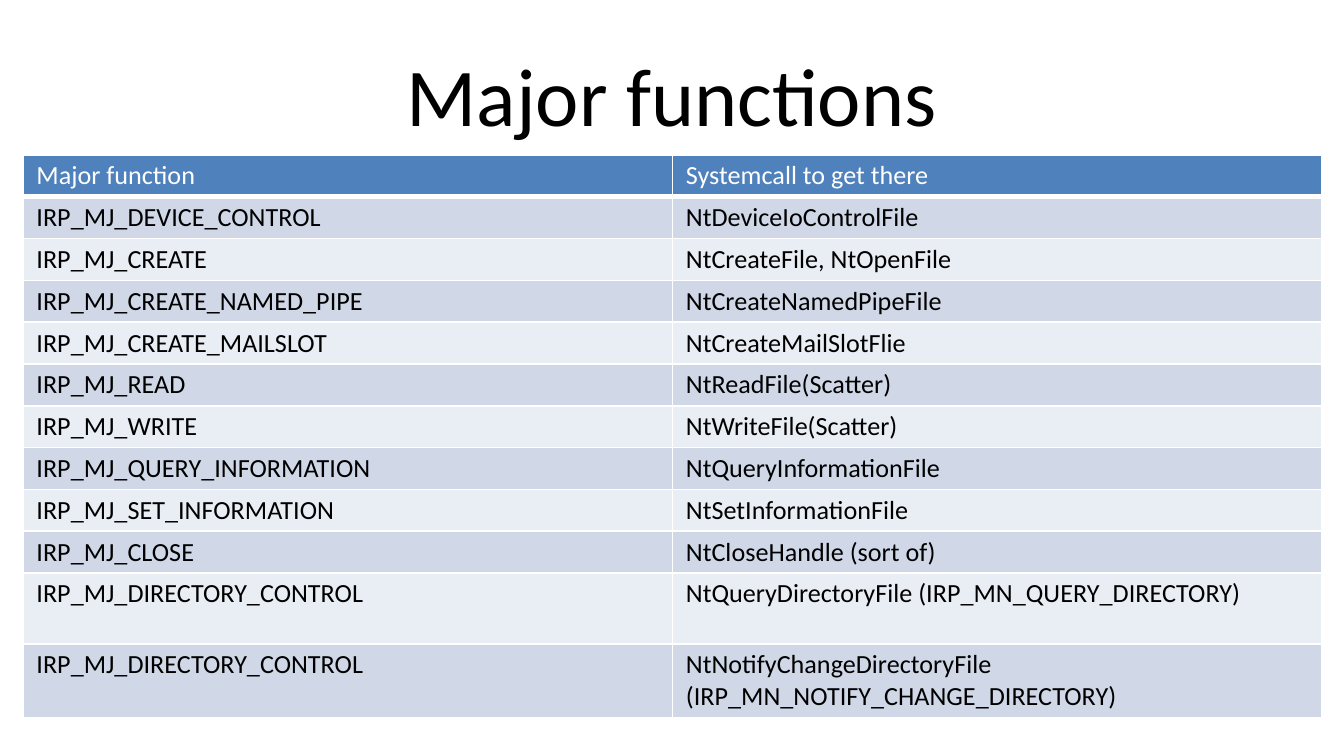
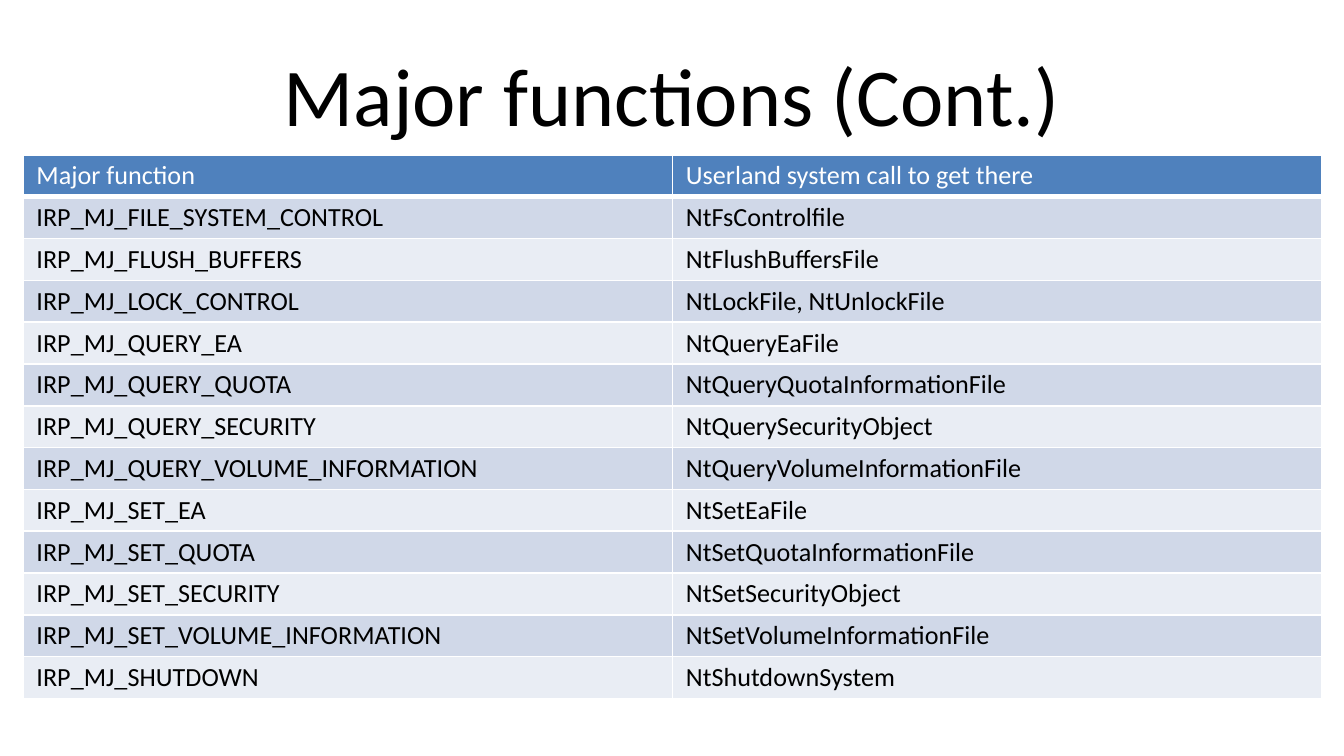
from lxml import etree
from pptx import Presentation
from pptx import util as u
from pptx.dml.color import RGBColor
from pptx.enum import text
from pptx.oxml import ns

# Shared look
FONT = "Calibri"
WHITE, BLACK, HEADER = "FFFFFF", "000000", "4F81BD"
BANDS = ("D0D8E8", "E9EDF4")
PX_PER_INCH = 134.4
SLIDE = (1344, 756)
TITLE_BOX = (67, 31, 1210, 126)
TABLE_BOX = (23, 155, 1299)
ROW, TALL_ROW, CELL_PAD = 41, 71, 5

MAJOR = [
    ("Major function", "Systemcall to get there"),
    ("IRP_MJ_DEVICE_CONTROL", "NtDeviceIoControlFile"),
    ("IRP_MJ_CREATE", "NtCreateFile, NtOpenFile"),
    ("IRP_MJ_CREATE_NAMED_PIPE", "NtCreateNamedPipeFile"),
    ("IRP_MJ_CREATE_MAILSLOT", "NtCreateMailSlotFlie"),
    ("IRP_MJ_READ", "NtReadFile(Scatter)"),
    ("IRP_MJ_WRITE", "NtWriteFile(Scatter)"),
    ("IRP_MJ_QUERY_INFORMATION", "NtQueryInformationFile"),
    ("IRP_MJ_SET_INFORMATION", "NtSetInformationFile"),
    ("IRP_MJ_CLOSE", "NtCloseHandle (sort of)"),
    ("IRP_MJ_DIRECTORY_CONTROL", "NtQueryDirectoryFile (IRP_MN_QUERY_DIRECTORY)"),
    ("IRP_MJ_DIRECTORY_CONTROL",
     "NtNotifyChangeDirectoryFile (IRP_MN_NOTIFY_CHANGE_DIRECTORY)"),
]
MAJOR_CONT = [
    ("Major function", "Userland system call to get there"),
    ("IRP_MJ_FILE_SYSTEM_CONTROL", "NtFsControlfile"),
    ("IRP_MJ_FLUSH_BUFFERS", "NtFlushBuffersFile"),
    ("IRP_MJ_LOCK_CONTROL", "NtLockFile, NtUnlockFile"),
    ("IRP_MJ_QUERY_EA", "NtQueryEaFile"),
    ("IRP_MJ_QUERY_QUOTA", "NtQueryQuotaInformationFile"),
    ("IRP_MJ_QUERY_SECURITY", "NtQuerySecurityObject"),
    ("IRP_MJ_QUERY_VOLUME_INFORMATION", "NtQueryVolumeInformationFile"),
    ("IRP_MJ_SET_EA", "NtSetEaFile"),
    ("IRP_MJ_SET_QUOTA", "NtSetQuotaInformationFile"),
    ("IRP_MJ_SET_SECURITY", "NtSetSecurityObject"),
    ("IRP_MJ_SET_VOLUME_INFORMATION", "NtSetVolumeInformationFile"),
    ("IRP_MJ_SHUTDOWN", "NtShutdownSystem"),
]


def px(n):
    return u.Emu(round(n * 914400 / PX_PER_INCH))


def rgb(color):
    return RGBColor.from_string(color)


def set_attrs(obj, values):
    for name, value in values.items():
        setattr(obj, name, value)


def write(tf, words, size, color):
    p = tf.paragraphs[0]
    r = p.add_run()
    r.text = words
    set_attrs(r.font, {"name": FONT, "size": u.Pt(size), "bold": False})
    r.font.color.rgb = rgb(color)
    return p


def add_borders(cell, widths):
    tc_pr = cell._tc.get_or_add_tcPr()
    for side, width in widths.items():
        ln = etree.SubElement(tc_pr, ns.qn(f"a:ln{side}"), w=str(u.Pt(width)))
        fill = etree.SubElement(ln, ns.qn("a:solidFill"))
        etree.SubElement(fill, ns.qn("a:srgbClr"), val=WHITE)


def fill_title(sp, box, words):
    left, top, width, height = map(px, box)
    set_attrs(sp, {"left": left, "top": top, "width": width, "height": height})
    tf = sp.text_frame
    set_attrs(tf, {"word_wrap": True, "auto_size": text.MSO_AUTO_SIZE.NONE,
                   "vertical_anchor": text.MSO_ANCHOR.MIDDLE})
    write(tf, words, 44, BLACK).alignment = text.PP_ALIGN.CENTER


def add_function_table(s, box, rows, tall_rows):
    left, top, width = box
    heights = [ROW] * (len(rows) - tall_rows) + [TALL_ROW] * tall_rows
    table = s.shapes.add_table(len(rows), 2, px(left), px(top),
                               px(width), px(sum(heights))).table
    table.horz_banding = False
    for column in table.columns:
        column.width = px(width / 2)
    for i, (row, height) in enumerate(zip(rows, heights)):
        table.rows[i].height = px(height)
        is_header = i == 0
        for j, words in enumerate(row):
            cell = table.cell(i, j)
            set_attrs(cell, {"margin_top": px(CELL_PAD), "margin_bottom": px(CELL_PAD)})
            # Borders come before the fill in the cell properties
            add_borders(cell, {"L": 1, "R": 1, "T": 1, "B": 3 if is_header else 1})
            cell.fill.solid()
            cell.fill.fore_color.rgb = rgb(HEADER if is_header else BANDS[(i - 1) % 2])
            write(cell.text_frame, words, 14, WHITE if is_header else BLACK)


def add_table_slide(prs, title, rows, tall_rows=0):
    s = prs.slides.add_slide(prs.slide_layouts[5])
    s.background.fill.solid()
    s.background.fill.fore_color.rgb = rgb(WHITE)
    fill_title(s.shapes.title, TITLE_BOX, title)
    add_function_table(s, TABLE_BOX, rows, tall_rows)


def main():
    prs = Presentation()
    prs.slide_width, prs.slide_height = map(px, SLIDE)
    add_table_slide(prs, "Major functions", MAJOR, tall_rows=2)
    add_table_slide(prs, "Major functions (Cont.)", MAJOR_CONT)
    prs.save("out.pptx")


if __name__ == "__main__":
    main()
